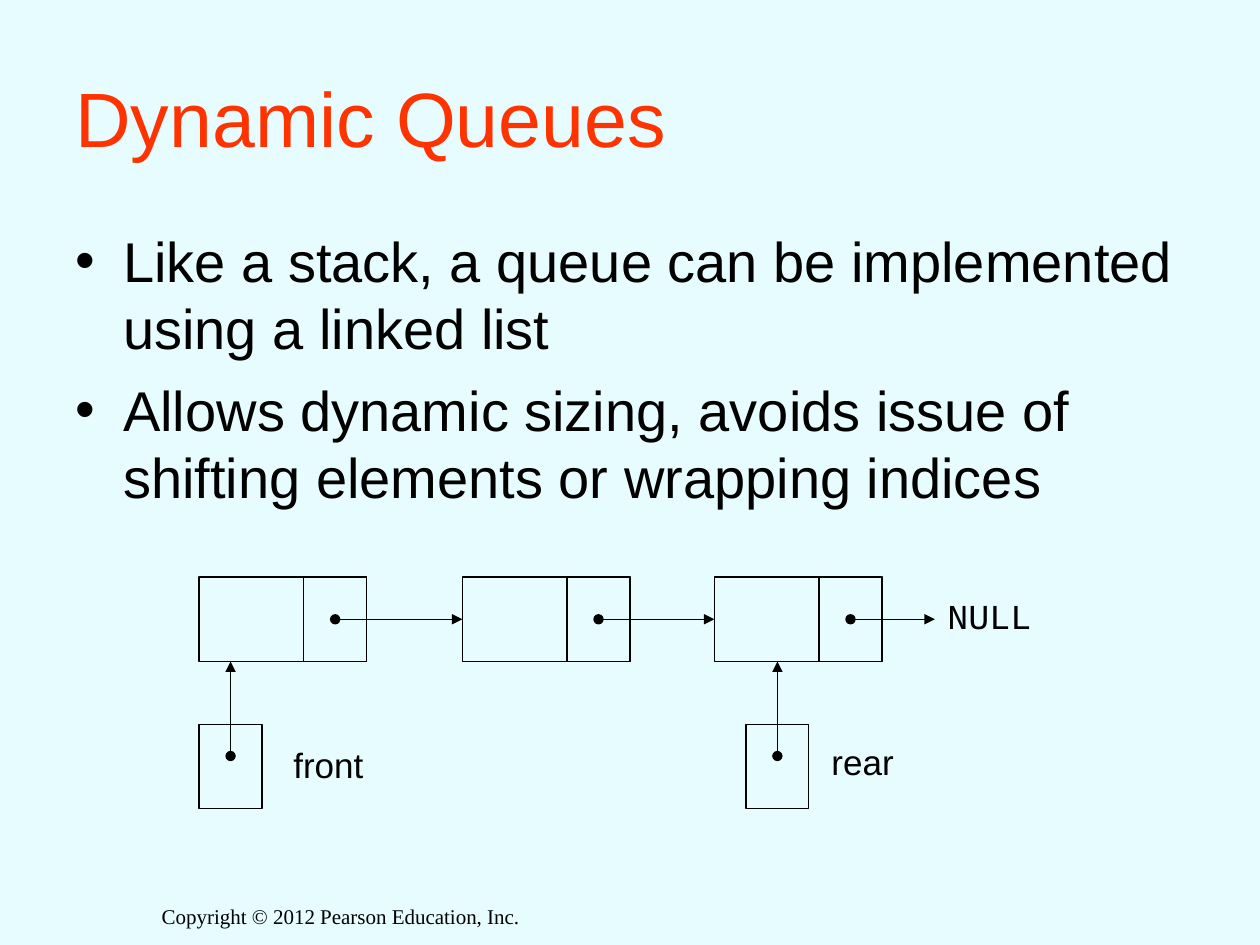
from lxml.etree import SubElement
from pptx import Presentation
from pptx.dml.color import RGBColor
from pptx.enum.shapes import MSO_CONNECTOR, MSO_SHAPE
from pptx.enum.text import MSO_ANCHOR, PP_ALIGN
from pptx.oxml.ns import qn
from pptx.util import Inches, Pt


def color(hex_value):
    return RGBColor.from_string(hex_value)


def add_text(box, lines, size, font="Arial", ink="000000"):
    left, top, width, height = map(Inches, box)
    frame = slide.shapes.add_textbox(left, top, width, height).text_frame
    frame.word_wrap = True
    frame.text = "\n".join(lines)
    for paragraph in frame.paragraphs:
        for run in paragraph.runs:
            run.font.name = font
            run.font.size = Pt(size)
            run.font.color.rgb = color(ink)
    return frame


prs = Presentation()
prs.slide_width, prs.slide_height = Inches(10), Inches(7.5)
slide = prs.slides.add_slide(prs.slide_layouts[6])
slide.background.fill.solid()
slide.background.fill.fore_color.rgb = color("E6FCFE")

# Copyright line and title
footer = add_text((1.08, 7.12, 3.25, 0.61),
                  ["Copyright © 2012 Pearson Education, Inc."], 12, "Times New Roman")
footer.paragraphs[0].alignment = PP_ALIGN.CENTER
title = add_text((0.5, 0.3, 9, 1.25), ["Dynamic Queues"], 44, ink="FF3300")
title.vertical_anchor = MSO_ANCHOR.MIDDLE

# Bullet points
points = add_text((0.5, 1.75, 9, 4.95), [
    "Like a stack, a queue can be implemented using a linked list",
    "Allows dynamic sizing, avoids issue of shifting elements or wrapping indices",
], 32)
for number, point in enumerate(points.paragraphs):
    if number:
        point.space_before = Pt(8)
    properties = point._p.get_or_add_pPr()
    properties.set("marL", str(Inches(0.38)))
    properties.set("indent", str(-Inches(0.38)))
    SubElement(properties, qn("a:buFont"), typeface="Arial")
    SubElement(properties, qn("a:buChar"), char="•")

# List nodes with their link cells, and the two pointer cells
node_lefts = [1.58, 3.67, 5.67]
pointer_lefts = [1.58, 5.92]
node_top, node_width, cell_width, cell_height = 4.58, 1.33, 0.5, 0.67
pointer_top = 5.75
rectangles = []
for left in node_lefts:
    rectangles.append((left, node_top, node_width))
    rectangles.append((left + node_width - cell_width, node_top, cell_width))
rectangles += [(left, pointer_top, cell_width) for left in pointer_lefts]

cells = []
for left, top, width in rectangles:
    cell = slide.shapes.add_shape(MSO_SHAPE.RECTANGLE, Inches(left), Inches(top),
                                  Inches(width), Inches(cell_height))
    cell.shadow.inherit = False
    cell.fill.background()
    cell.line.color.rgb = color("000000")
    cell.line.width = Pt(0.75)
    cells.append(cell)
nodes = cells[0:6:2]

# Arrows: each link to the next node or NULL, each pointer up to its node
link_y = node_top + cell_height / 2
arrows = []
for left, target_x, target in zip(node_lefts, node_lefts[1:] + [7.42], nodes[1:] + [None]):
    link_x = left + node_width - cell_width / 2
    arrows.append((link_x, link_y, target_x, link_y, target))
for left in pointer_lefts:
    pointer_x = left + cell_width / 2
    arrows.append((pointer_x, 6, pointer_x, node_top + cell_height, None))

for x1, y1, x2, y2, target in arrows:
    arrow = slide.shapes.add_connector(MSO_CONNECTOR.STRAIGHT, Inches(x1), Inches(y1),
                                       Inches(x2), Inches(y2))
    if target is not None:
        arrow.end_connect(target, 1)
    arrow.line.color.rgb = color("000000")
    arrow.line.width = Pt(0.75)
    outline = arrow.line._get_or_add_ln()
    SubElement(outline, qn("a:headEnd"), type="oval")
    SubElement(outline, qn("a:tailEnd"), type="triangle")
    SubElement(arrow._element.spPr, qn("a:effectLst"))

# Labels, with room to stay on one line
for label, left, top, font in [
    ("front", 2.23, 5.85, "Arial"),
    ("rear", 6.5, 5.83, "Arial"),
    ("NULL", 7.42, 4.67, "Courier New"),
]:
    add_text((left, top, 0.95, 0.44), [label], 20, font)

prs.save("out.pptx")
